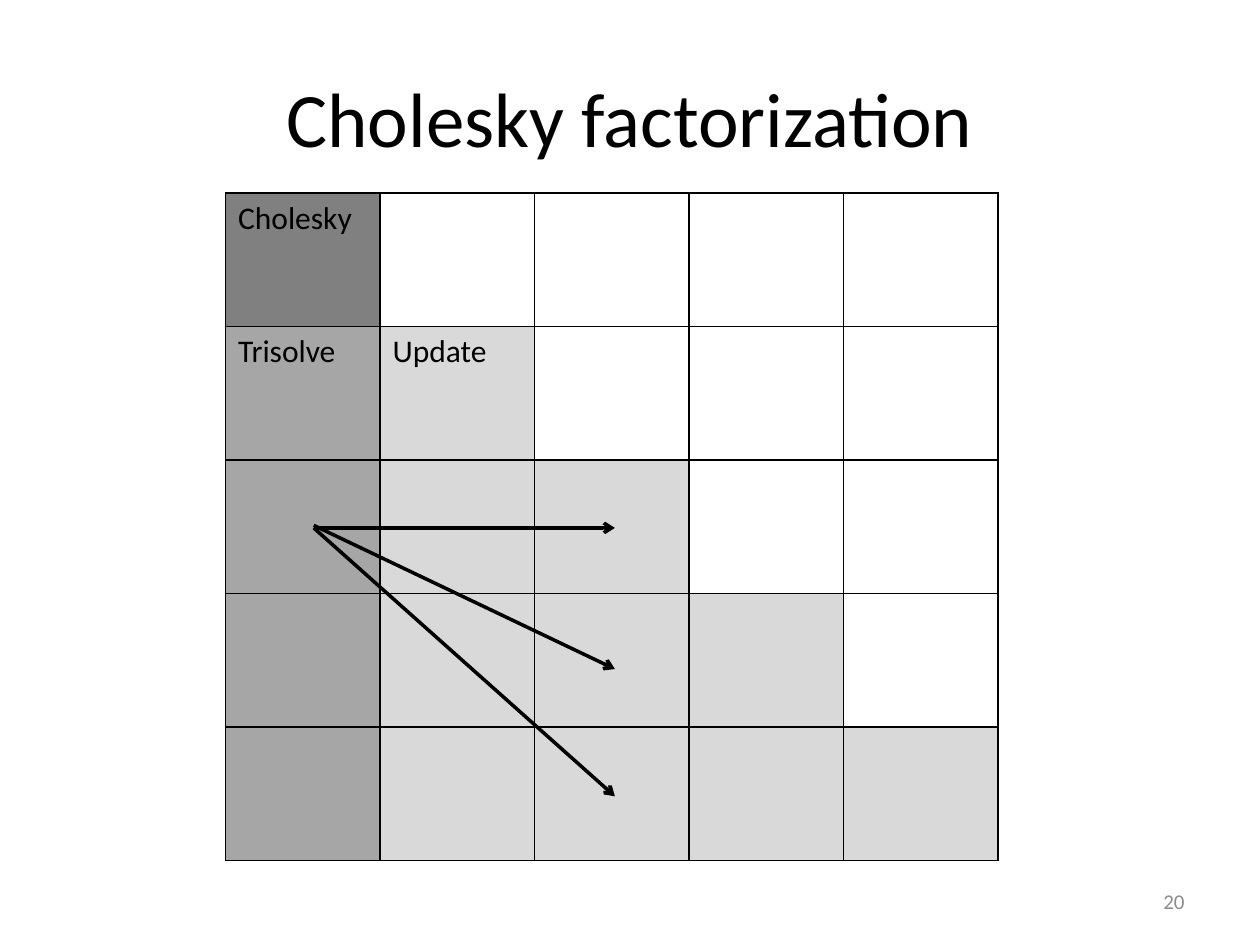
import pptx
import pptx.dml.color
import pptx.enum.shapes
import pptx.enum.text
import pptx.oxml
import pptx.oxml.ns
import pptx.util
from lxml import etree
from pptx.util import Inches

TITLE = "Cholesky factorization"
PAGE_NUMBER = "20"
FONT = "Calibri"
BLACK, WHITE, NUMBER_GRAY = "000000", "FFFFFF", "8C8C8C"
DIAGONAL_GRAY, PANEL_GRAY, UPDATE_GRAY = "808080", "A6A6A6", "D9D9D9"

# Matrix blocks
SIZE = 5
LEFT, TOP, WIDTH, HEIGHT = 1.79, 1.53, 6.13, 5.3
LABELS = {(0, 0): "Cholesky", (1, 0): "Trisolve", (1, 1): "Update"}

# Arrows from a solved block to the blocks it updates
ARROW_LEFT, ARROW_RIGHT = 2.49, 4.88
ARROW_HEIGHTS = [(4.19, 4.19), (4.17, 5.31), (4.19, 6.32)]


def color(value):
    return pptx.dml.color.RGBColor.from_string(value)


def add_xml(parent, tag, **attributes):
    return etree.SubElement(parent, pptx.oxml.ns.qn(tag), **attributes)


def style(para, size, value):
    para.font.name = FONT
    para.font.size = pptx.util.Pt(size)
    para.font.color.rgb = color(value)


def add_text(page, text, place, size, value, align):
    box = page.shapes.add_textbox(*map(Inches, place))
    frame = box.text_frame
    frame.word_wrap = True
    frame.vertical_anchor = pptx.enum.text.MSO_ANCHOR.MIDDLE
    para = frame.paragraphs[0]
    para.text = text
    para.alignment = align
    style(para, size, value)


def block_fill(row, column):
    if column > row:
        return WHITE
    if column > 0:
        return UPDATE_GRAY
    return PANEL_GRAY if row else DIAGONAL_GRAY


def add_borders(cell):
    properties = cell._tc.get_or_add_tcPr()
    for side in ("a:lnL", "a:lnR", "a:lnT", "a:lnB"):
        line = add_xml(properties, side, w=str(pptx.util.Pt(1)))
        add_xml(add_xml(line, "a:solidFill"), "a:srgbClr", val=BLACK)


def add_matrix(page):
    place = map(Inches, (LEFT, TOP, WIDTH, HEIGHT))
    table = page.shapes.add_table(SIZE, SIZE, *place).table
    for index in range(SIZE):
        table.columns[index].width = Inches(WIDTH / SIZE)
        table.rows[index].height = Inches(HEIGHT / SIZE)
    for row in range(SIZE):
        for column in range(SIZE):
            cell = table.cell(row, column)
            add_borders(cell)
            cell.fill.solid()
            cell.fill.fore_color.rgb = color(block_fill(row, column))
            para = cell.text_frame.paragraphs[0]
            para.text = LABELS.get((row, column), "")
            style(para, 18, BLACK)
            para.font.bold = False


def add_arrow(page, start, end):
    arrow = page.shapes.add_connector(
        pptx.enum.shapes.MSO_CONNECTOR.STRAIGHT, *map(Inches, start + end))
    arrow.line.width = pptx.util.Pt(2)
    arrow.line.color.rgb = color(BLACK)
    add_xml(arrow.line._get_or_add_ln(), "a:tailEnd", type="arrow")
    add_xml(arrow._element.spPr, "a:effectLst")


deck = pptx.Presentation()
deck.slide_width, deck.slide_height = Inches(10), Inches(7.5)
page = deck.slides.add_slide(deck.slide_layouts[6])

# Title and page number
align = pptx.enum.text.PP_ALIGN
add_text(page, TITLE, (0.5, 0.3, 9, 1.25), 44, BLACK, align.CENTER)
add_text(page, PAGE_NUMBER, (7.17, 6.95, 2.33, 0.4), 12, NUMBER_GRAY, align.RIGHT)

# Matrix with its update arrows on top
add_matrix(page)
for start_height, end_height in ARROW_HEIGHTS:
    add_arrow(page, (ARROW_LEFT, start_height), (ARROW_RIGHT, end_height))

deck.save("out.pptx")
